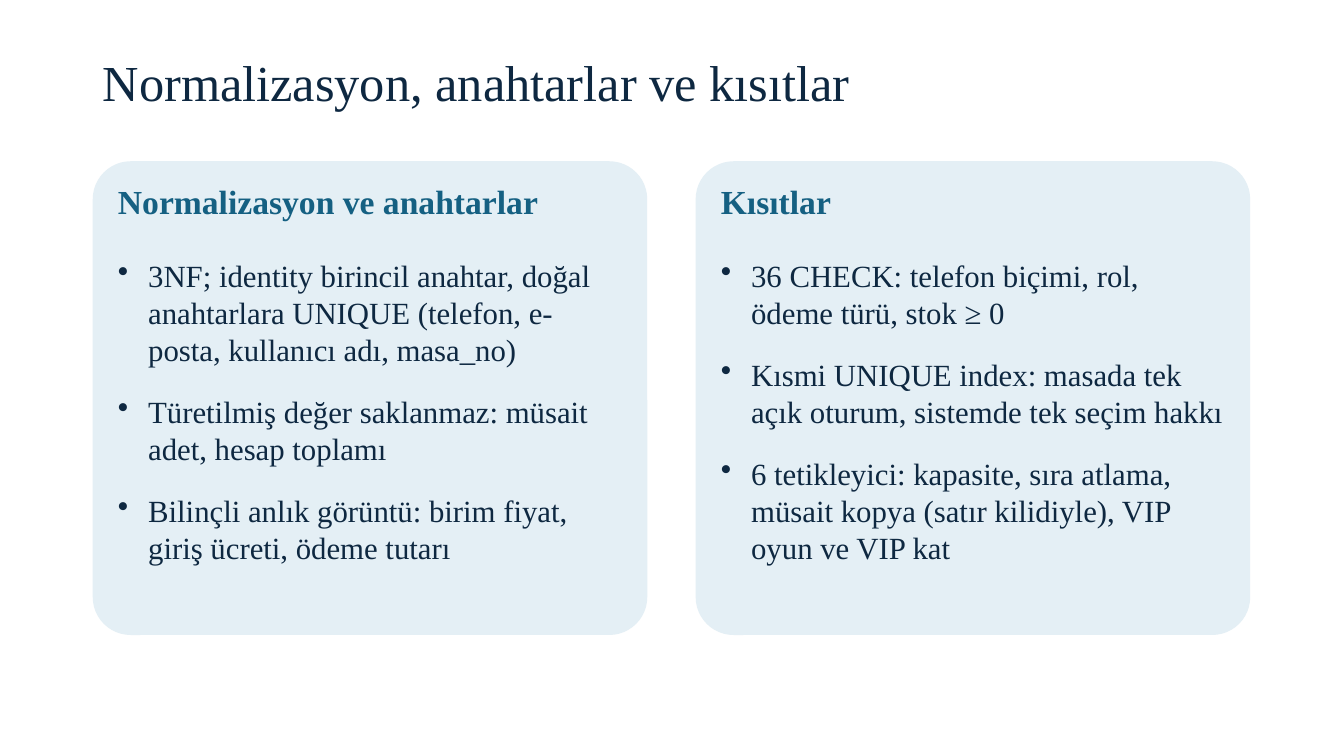
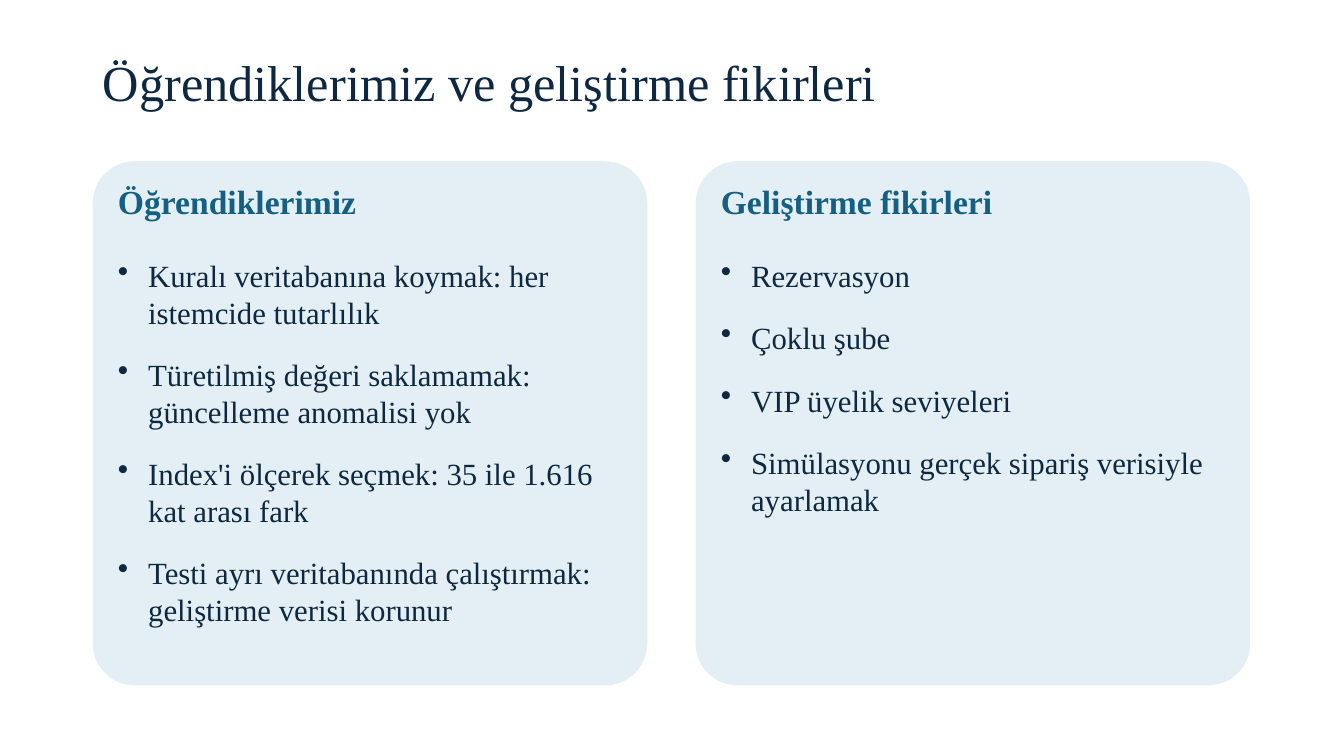
from lxml import etree
from pptx import Presentation
from pptx.dml.color import RGBColor
from pptx.enum.shapes import MSO_SHAPE
from pptx.enum.text import MSO_ANCHOR
from pptx.oxml.ns import qn
from pptx.util import Inches, Pt

ROUNDED = MSO_SHAPE.ROUNDED_RECTANGLE
TOP, MIDDLE = MSO_ANCHOR.TOP, MSO_ANCHOR.MIDDLE

FONT = "Times New Roman"
NAVY, TEAL, PALE_BLUE, WHITE = "0E2841", "156082", "E4EFF5", "FFFFFF"

SLIDE_WIDTH, SLIDE_HEIGHT = 13.33, 7.5
MARGIN, TITLE_TOP, TITLE_WIDTH, TITLE_HEIGHT = 0.92, 0.35, 11.5, 1
CARD_TOP, CARD_WIDTH, CARD_GAP = 1.6, 5.5, 0.48
CARD_PADDING, HEADING_OFFSET, LIST_OFFSET, LIST_BOTTOM = 0.2, 0.15, 0.9, 0.1
BULLET_INDENT = 0.3

TITLE_STYLE = {"size": Pt(36), "bold": False, "color": NAVY}
HEADING_STYLE = {"size": Pt(24), "bold": True, "color": TEAL}
BULLET_STYLE = {"size": Pt(22), "bold": False, "color": NAVY}

SLIDES = [
    {
        "title": "Normalizasyon, anahtarlar ve kısıtlar",
        "card_height": 4.7,
        "cards": [
            ("Normalizasyon ve anahtarlar", [
                "3NF; identity birincil anahtar, doğal anahtarlara UNIQUE "
                "(telefon, e-posta, kullanıcı adı, masa_no)",
                "Türetilmiş değer saklanmaz: müsait adet, hesap toplamı",
                "Bilinçli anlık görüntü: birim fiyat, giriş ücreti, ödeme tutarı",
            ]),
            ("Kısıtlar", [
                "36 CHECK: telefon biçimi, rol, ödeme türü, stok ≥ 0",
                "Kısmi UNIQUE index: masada tek açık oturum, sistemde tek seçim hakkı",
                "6 tetikleyici: kapasite, sıra atlama, müsait kopya "
                "(satır kilidiyle), VIP oyun ve VIP kat",
            ]),
        ],
    },
    {
        "title": "Öğrendiklerimiz ve geliştirme fikirleri",
        "card_height": 5.2,
        "cards": [
            ("Öğrendiklerimiz", [
                "Kuralı veritabanına koymak: her istemcide tutarlılık",
                "Türetilmiş değeri saklamamak: güncelleme anomalisi yok",
                "Index'i ölçerek seçmek: 35 ile 1.616 kat arası fark",
                "Testi ayrı veritabanında çalıştırmak: geliştirme verisi korunur",
            ]),
            ("Geliştirme fikirleri", [
                "Rezervasyon",
                "Çoklu şube",
                "VIP üyelik seviyeleri",
                "Simülasyonu gerçek sipariş verisiyle ayarlamak",
            ]),
        ],
    },
]


def rgb(hex_color):
    return RGBColor.from_string(hex_color)


def add_bullet(paragraph):
    properties = paragraph._p.get_or_add_pPr()
    properties.set("marL", str(Inches(BULLET_INDENT)))
    properties.set("indent", str(-Inches(BULLET_INDENT)))
    etree.SubElement(properties, qn("a:buChar"), char="•")


def add_text(slide, box, lines, style, inset=0.05, anchor=TOP, bullets=False,
             **paragraph_format):
    """Place one paragraph per line in box (left, top, width, height in inches)."""
    frame = slide.shapes.add_textbox(*map(Inches, box)).text_frame
    frame_format = {"word_wrap": True, "vertical_anchor": anchor,
                    "margin_left": Inches(inset), "margin_right": Inches(inset),
                    "margin_top": Inches(0.05), "margin_bottom": Inches(0.05)}
    for name, value in frame_format.items():
        setattr(frame, name, value)
    for index, line in enumerate(lines):
        paragraph = frame.add_paragraph() if index else frame.paragraphs[0]
        if bullets:
            add_bullet(paragraph)
        for name, value in paragraph_format.items():
            setattr(paragraph, name, value)
        run = paragraph.add_run()
        run.text = line
        run.font.name = FONT
        run.font.size = style["size"]
        run.font.bold = style["bold"]
        run.font.color.rgb = rgb(style["color"])


def add_card(slide, box, heading, points):
    left, top, width, height = box
    panel = slide.shapes.add_shape(ROUNDED, *map(Inches, box))
    panel.adjustments[0] = 0.08
    panel.shadow.inherit = False
    panel.fill.solid()
    panel.fill.fore_color.rgb = rgb(PALE_BLUE)
    panel.line.fill.background()

    text_left, text_width = left + CARD_PADDING, width - 2 * CARD_PADDING
    add_text(slide, (text_left, top + HEADING_OFFSET, text_width, 0.6),
             [heading], HEADING_STYLE)
    list_height = height - LIST_OFFSET - LIST_BOTTOM
    add_text(slide, (text_left, top + LIST_OFFSET, text_width, list_height),
             points, BULLET_STYLE, bullets=True, space_after=Pt(18))


def add_card_slide(deck, title, card_height, cards):
    slide = deck.slides.add_slide(deck.slide_layouts[6])
    slide.background.fill.solid()
    slide.background.fill.fore_color.rgb = rgb(WHITE)
    add_text(slide, (MARGIN, TITLE_TOP, TITLE_WIDTH, TITLE_HEIGHT), [title],
             TITLE_STYLE, inset=0.1, anchor=MIDDLE, line_spacing=0.9)
    for column, (heading, points) in enumerate(cards):
        left = MARGIN + column * (CARD_WIDTH + CARD_GAP)
        add_card(slide, (left, CARD_TOP, CARD_WIDTH, card_height), heading, points)


def main():
    deck = Presentation()
    deck.slide_width = Inches(SLIDE_WIDTH)
    deck.slide_height = Inches(SLIDE_HEIGHT)
    for content in SLIDES:
        add_card_slide(deck, **content)
    deck.save("out.pptx")


if __name__ == "__main__":
    main()
